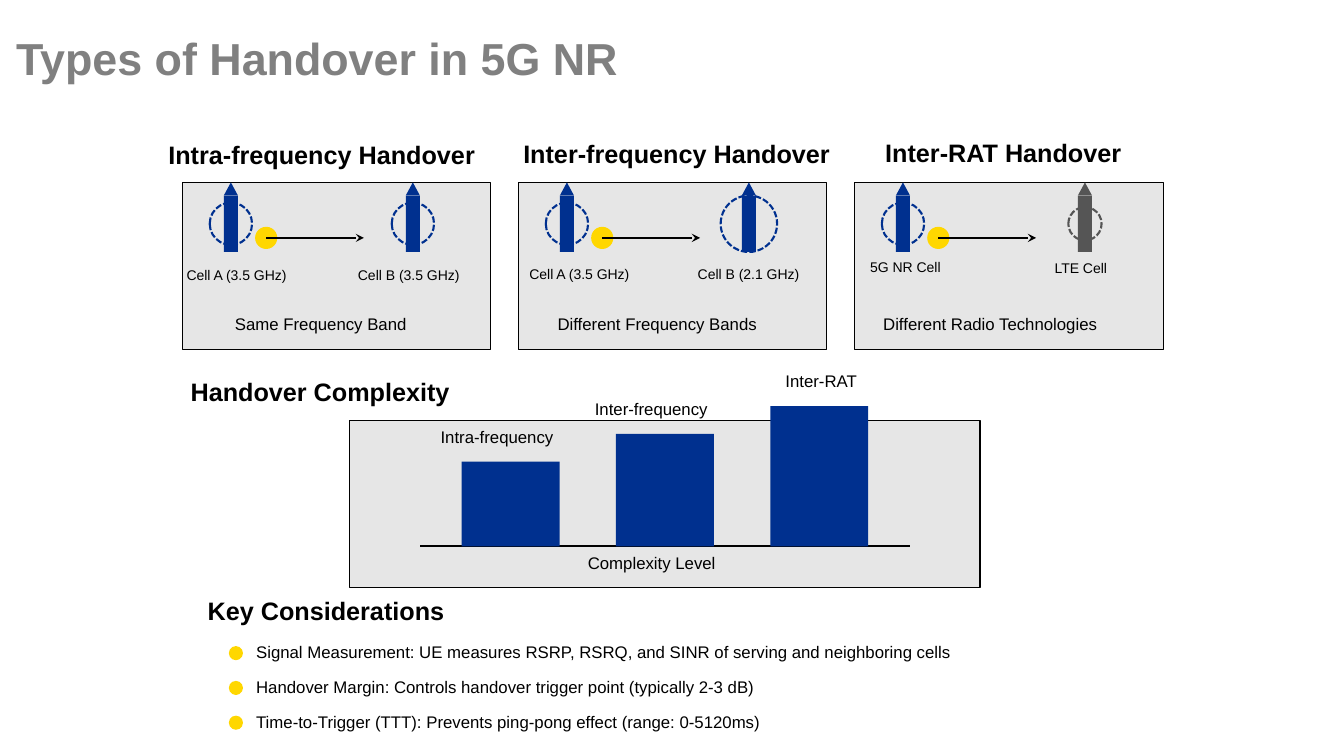
from pptx import Presentation
from pptx.dml.color import RGBColor
from pptx.enum.dml import MSO_LINE
from pptx.enum.shapes import MSO_CONNECTOR, MSO_SHAPE
from pptx.oxml.ns import qn
from pptx.util import Inches, Pt
from lxml import etree

RECT = MSO_SHAPE.RECTANGLE
OVAL = MSO_SHAPE.OVAL
PEAK = MSO_SHAPE.ISOSCELES_TRIANGLE
DASH = MSO_LINE.SQUARE_DOT
STRAIGHT = MSO_CONNECTOR.STRAIGHT
COLORS = {
    "title": "808080", "text": "000000", "panel": "E6E6E6",
    "blue": "00308F", "lte": "555555", "gold": "FFD700",
}

deck = Presentation()
deck.slide_width = Inches(13.33)
deck.slide_height = Inches(7.5)
slide = deck.slides.add_slide(deck.slide_layouts[6])


def add_text(words, left, top, width, size, bold=False, color="text"):
    box = slide.shapes.add_textbox(
        Inches(left), Inches(top), Inches(width), Inches(size / 60))
    frame = box.text_frame
    frame.word_wrap = False
    frame.margin_left = frame.margin_right = 0
    frame.margin_top = frame.margin_bottom = 0
    run = frame.paragraphs[0].add_run()
    run.text = words
    run.font.name = "Arial"
    run.font.size = Pt(size)
    run.font.bold = bold
    run.font.color.rgb = RGBColor.from_string(COLORS[color])


def add_form(kind, left, top, width, height, fill=None, line=None, weight=0.75):
    form = slide.shapes.add_shape(
        kind, Inches(left), Inches(top), Inches(width), Inches(height))
    form.shadow.inherit = False
    if fill:
        form.fill.solid()
        form.fill.fore_color.rgb = RGBColor.from_string(COLORS[fill])
    else:
        form.fill.background()
    if line:
        form.line.color.rgb = RGBColor.from_string(COLORS[line])
        form.line.width = Pt(weight)
    else:
        form.line.fill.background()
    return form


# Title and section headings
add_text("Types of Handover in 5G NR", 0.16, 0.3, 6.02, 32, True, "title")
for words, left, top, width in [
    ("Intra-frequency Handover", 1.67, 1.38, 3.07),
    ("Inter-frequency Handover", 5.19, 1.37, 3.07),
    ("Inter-RAT Handover", 8.78, 1.36, 2.37),
    ("Handover Complexity", 1.89, 3.73, 2.59),
    ("Key Considerations", 2.06, 5.91, 2.37),
]:
    add_text(words, left, top, width, 18, True)

# Handover panels: caption, then cells as (name, left, top, width, range, color)
panels = [
    (("Same Frequency Band", 2.33, 3.11, 1.72),
     [("Cell A (3.5 GHz)", 1.85, 2.64, 1.02, 0.42, "blue"),
      ("Cell B (3.5 GHz)", 3.55, 2.64, 1.02, 0.42, "blue")]),
    (("Different Frequency Bands", 5.53, 3.11, 1.99),
     [("Cell A (3.5 GHz)", 5.25, 2.63, 1.02, 0.42, "blue"),
      ("Cell B (2.1 GHz)", 6.92, 2.63, 1.02, 0.56, "blue")]),
    (("Different Radio Technologies", 8.76, 3.11, 2.14),
     [("5G NR Cell", 8.63, 2.56, 0.71, 0.42, "blue"),
      ("LTE Cell", 10.46, 2.57, 0.54, 0.33, "lte")]),
]
lines = []
for index, (caption, cells) in enumerate(panels):
    edge = 1.81 + index * 3.333
    add_form(RECT, edge, 1.81, 3.06, 1.66, "panel", "text")
    for spot, (name, left, top, width, span, color) in enumerate(cells):
        mid = edge + 0.48 + spot * 1.805
        add_form(RECT, mid - 0.07, 1.94, 0.14, 0.56, color)
        add_form(PEAK, mid - 0.07, 1.81, 0.14, 0.13, color)
        ring = add_form(OVAL, mid - span / 2, 2.22 - span / 2, span, span,
                        line=color, weight=1.5)
        ring.line.dash_style = DASH
        add_text(name, left, top, width, 10)
    add_form(OVAL, edge + 0.72, 2.25, 0.22, 0.22, "gold")
    add_text(*caption, 12)
    lines.append((edge + 0.83, edge + 1.8, 2.36, True))

# Complexity panel
add_form(RECT, 3.47, 4.17, 6.25, 1.66, "panel", "text")
add_text("Complexity Level", 5.83, 5.48, 1.28, 12)
lines.append((4.17, 9.03, 5.42, False))

# Handover arrows and bar baseline
for start, end, level, arrow in lines:
    link = slide.shapes.add_connector(
        STRAIGHT, Inches(start), Inches(level), Inches(end), Inches(level))
    link.line.color.rgb = RGBColor.from_string(COLORS["text"])
    link.line.width = Pt(1.5)
    if arrow:
        head = etree.SubElement(link.line._get_or_add_ln(), qn("a:tailEnd"))
        head.set("type", "stealth")
    etree.SubElement(link._element.spPr, qn("a:effectLst"))

# Complexity bars
bars = [
    ("Intra-frequency", 4.37, 1.13),
    ("Inter-frequency", 5.9, 1.13),
    ("Inter-RAT", 7.79, 0.72),
]
for index, (name, left, width) in enumerate(bars):
    tall = 0.84 + index * 0.275
    add_form(RECT, 4.58 + index * 1.53, 5.42 - tall, 0.97, tall, "blue")
    add_text(name, left, 5.07 - tall, width, 12)

# Key considerations
points = [
    ("Signal Measurement: UE measures RSRP, RSRQ, and SINR of serving "
     "and neighboring cells", 6.95),
    ("Handover Margin: Controls handover trigger point (typically 2-3 dB)", 4.98),
    ("Time-to-Trigger (TTT): Prevents ping-pong effect (range: 0-5120ms)", 5.05),
]
for index, (words, width) in enumerate(points):
    top = 6.37 + index * 0.345
    add_form(OVAL, 2.27, top + 0.04, 0.14, 0.14, "gold")
    add_text(words, 2.54, top, width, 12)

deck.save("out.pptx")
